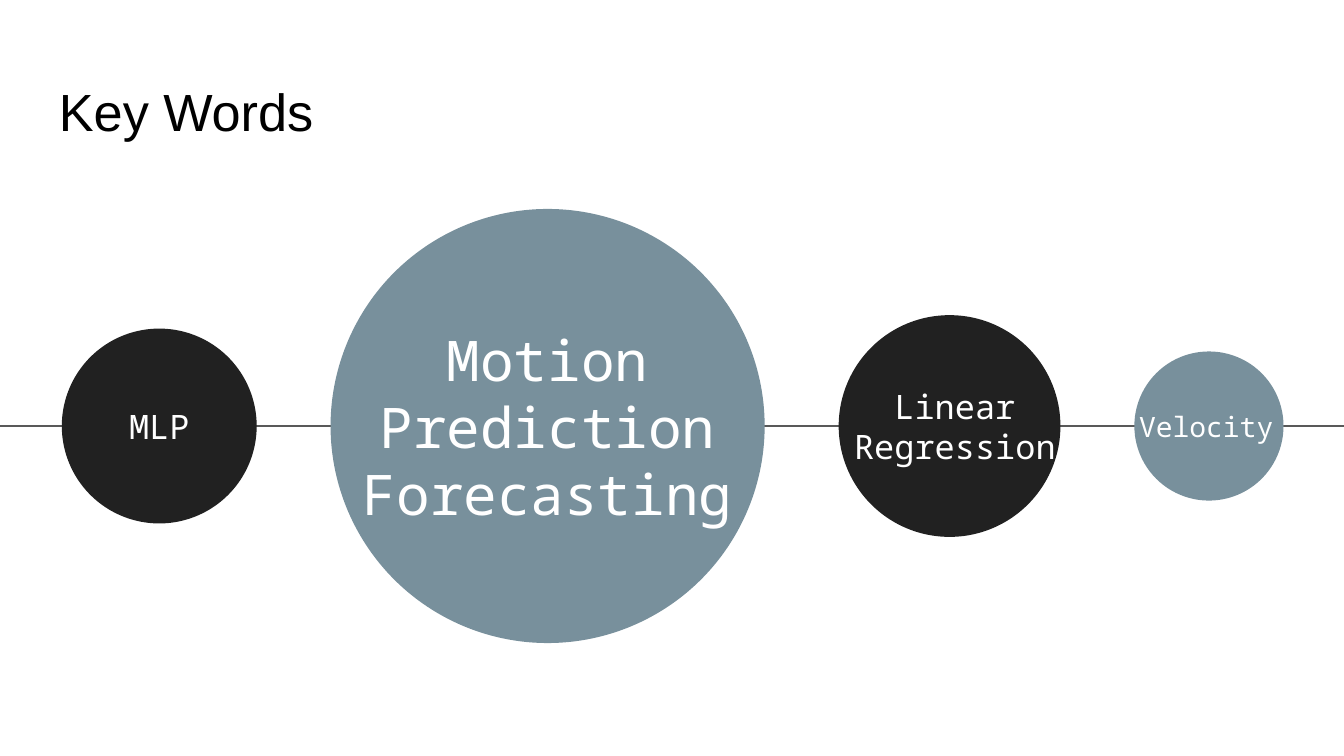
from dataclasses import dataclass

from pptx import Presentation
from pptx.dml.color import RGBColor
from pptx.enum.shapes import MSO_CONNECTOR, MSO_SHAPE
from pptx.enum.text import MSO_ANCHOR, PP_ALIGN
from pptx.oxml.ns import qn
from pptx.slide import Slide
from pptx.util import Inches, Pt

COLOURS = {
    "title": "000000",
    "label": "FFFFFF",
    "axis": "595959",
    "dark": "212121",
    "slate": "78909C",
}
SLIDE_WIDTH = 10
SLIDE_HEIGHT = SLIDE_WIDTH * 9 / 16
AXIS_Y = 3.17
FIRST_LEFT = 0.46
GAP = 0.55
LABEL_HEIGHT = 0.66
MARGIN = 0.1


@dataclass(frozen=True)
class Keyword:
    text: str
    diameter: float
    colour: str
    size: int
    label_width: float
    label_shift: float = 0


KEYWORDS = [
    Keyword("MLP", 1.45, "dark", 18, 1.45),
    Keyword("Motion Prediction Forecasting", 3.23, "slate", 30, 3.23),
    Keyword("Linear Regression", 1.65, "dark", 18, 1.83, 0.04),
    Keyword("Velocity", 1.11, "slate", 15, 1.28, -0.02),
]


def colour(name: str) -> RGBColor:
    return RGBColor.from_string(COLOURS[name])


def add_text(page: Slide, text: str, left: float, top: float, width: float,
             height: float, font: str, size: int, ink: str,
             anchor: MSO_ANCHOR, align: PP_ALIGN) -> None:
    box = page.shapes.add_textbox(
        Inches(left), Inches(top), Inches(width), Inches(height))
    frame = box.text_frame
    frame.word_wrap = True
    frame.vertical_anchor = anchor
    frame.margin_left = frame.margin_right = Inches(MARGIN)
    frame.margin_top = frame.margin_bottom = Inches(MARGIN)
    para = frame.paragraphs[0]
    para.alignment = align
    span = para.add_run()
    span.text = text
    span.font.name = font
    span.font.size = Pt(size)
    span.font.color.rgb = colour(ink)


def add_axis(page: Slide) -> None:
    axis = page.shapes.add_connector(
        MSO_CONNECTOR.STRAIGHT,
        Inches(-0.01), Inches(AXIS_Y), Inches(SLIDE_WIDTH), Inches(AXIS_Y))
    axis.line.color.rgb = colour("axis")
    axis.line.width = Pt(1.5)
    properties = axis.element.spPr
    properties.append(properties.makeelement(qn("a:effectLst"), {}))


def add_keyword(page: Slide, keyword: Keyword, left: float) -> None:
    radius = keyword.diameter / 2
    circle = page.shapes.add_shape(
        MSO_SHAPE.OVAL, Inches(left), Inches(AXIS_Y - radius),
        Inches(keyword.diameter), Inches(keyword.diameter))
    circle.shadow.inherit = False
    circle.fill.solid()
    circle.fill.fore_color.rgb = colour(keyword.colour)
    circle.line.fill.background()
    label_left = left + radius + keyword.label_shift - keyword.label_width / 2
    add_text(page, keyword.text, label_left, AXIS_Y - LABEL_HEIGHT / 2,
             keyword.label_width, LABEL_HEIGHT, "Noto Sans Mono",
             keyword.size, "label", MSO_ANCHOR.MIDDLE, PP_ALIGN.CENTER)


def main() -> None:
    deck = Presentation()
    deck.slide_width = Inches(SLIDE_WIDTH)
    deck.slide_height = Inches(SLIDE_HEIGHT)
    page = deck.slides.add_slide(deck.slide_layouts[6])
    add_axis(page)
    add_text(page, "Key Words", 0.34, 0.49, 9.32, 0.63, "Arial", 28,
             "title", MSO_ANCHOR.TOP, PP_ALIGN.LEFT)
    left = FIRST_LEFT
    for keyword in KEYWORDS:
        add_keyword(page, keyword, left)
        left += keyword.diameter + GAP
    deck.save("out.pptx")


if __name__ == "__main__":
    main()
